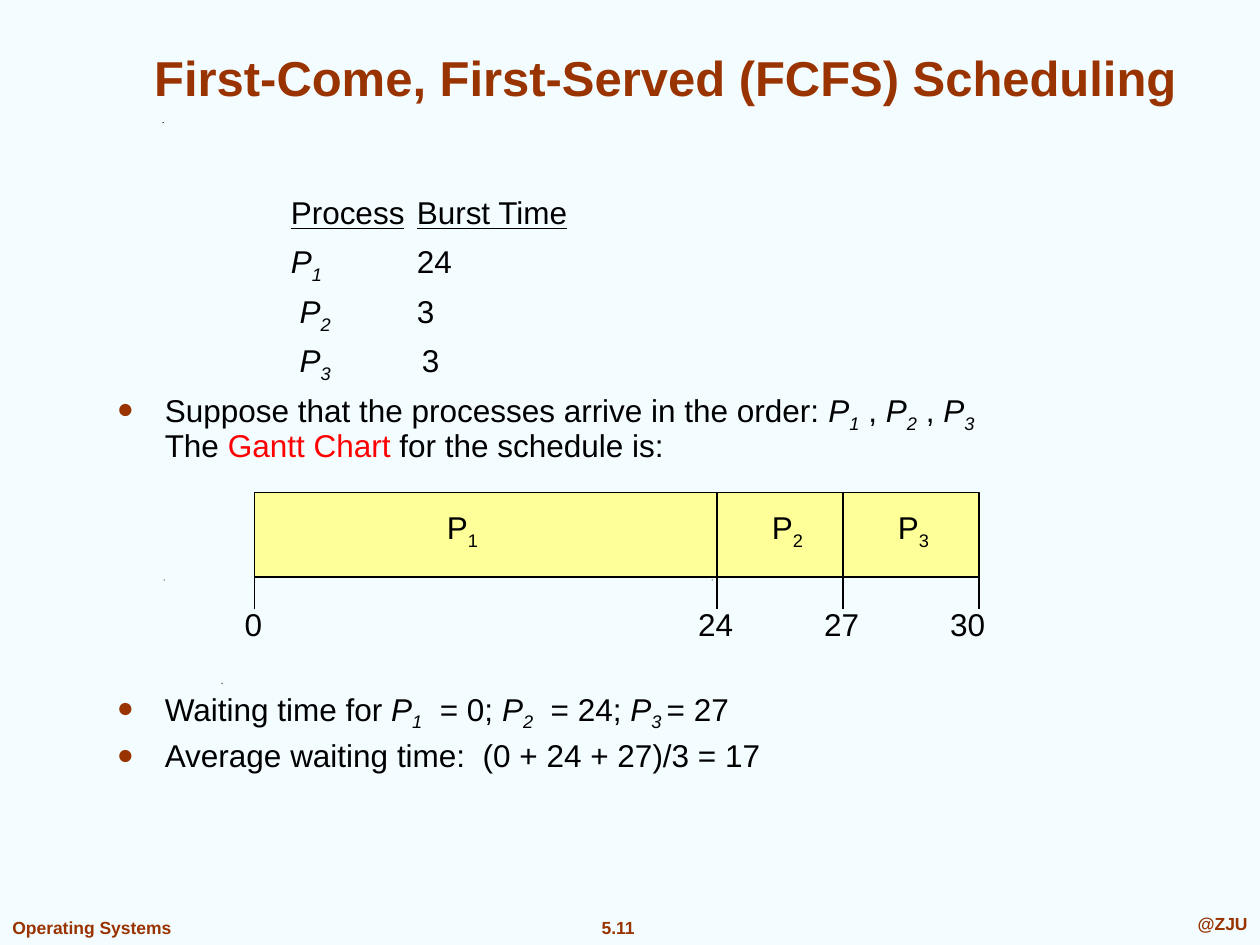
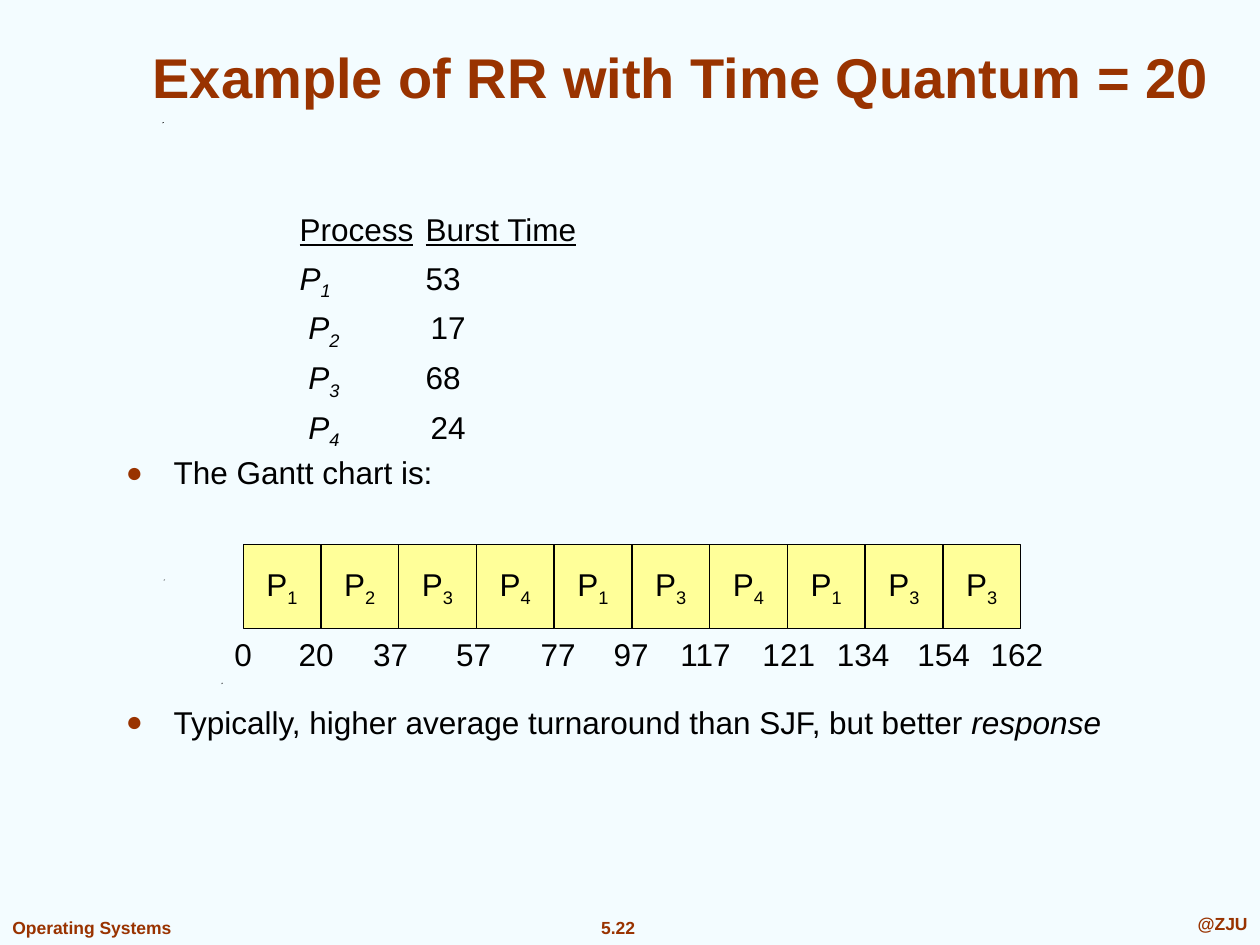
from dataclasses import dataclass

from lxml.etree import SubElement
from pptx import Presentation
from pptx.dml.color import RGBColor
from pptx.enum.shapes import MSO_CONNECTOR, MSO_SHAPE
from pptx.enum.text import MSO_ANCHOR, PP_ALIGN
from pptx.oxml.ns import qn
from pptx.util import Inches, Pt


@dataclass(frozen=True)
class Theme:
    font: str = "Arial"
    paper: RGBColor = RGBColor(0xF3, 0xFC, 0xFF)
    accent: RGBColor = RGBColor(0x99, 0x33, 0x00)
    ink: RGBColor = RGBColor(0x00, 0x00, 0x00)
    key: RGBColor = RGBColor(0xFF, 0x00, 0x00)
    bar: RGBColor = RGBColor(0xFF, 0xFF, 0x99)
    body_size: int = 18
    footer_size: int = 10
    line_width: float = 0.75
    line_spacing: float = 0.9
    para_gap: float = 6.3


THEME = Theme()
ITALIC = {"italic": True}
UNDERLINE = {"underline": True}
KEY = {"color": THEME.key}
SUB = {"baseline": "-25000"}
HANGING = 0.38
TABLE_INDENT = 1.38
COLUMN_WIDTH = 1
BAR_HEIGHT = 0.67
LABEL_HEIGHT = 0.4
LABEL_PADDING = 0.2
DIGIT_WIDTH = 0.15
SPECKS = [(1.29, 0.97), (1.3, 4.6), (1.76, 5.42)]


def process(number, style=ITALIC):
    return [("P", style), (str(number), {**style, **SUB})]


class SlideBuilder:
    def __init__(self, deck, theme):
        self.deck = deck
        self.theme = theme
        self.page = None

    def start(self, title, title_box, title_size, number, specks=SPECKS):
        self.page = self.deck.slides.add_slide(self.deck.slide_layouts[6])
        fill = self.page.background.fill
        fill.solid()
        fill.fore_color.rgb = self.theme.paper
        for left, top in specks:
            self.speck(left, top)
        heading = {"bold": True, "color": self.theme.accent}
        small = {**heading, "size": self.theme.footer_size}
        footers = [
            (number, (4.66, 7.23, 0.49, 0.27), PP_ALIGN.CENTER),
            ("@ZJU", (7.1, 7.2, 2.9, 0.27), PP_ALIGN.RIGHT),
            ("Operating Systems", (0, 7.23, 1.47, 0.27), PP_ALIGN.LEFT),
        ]
        for text, place, align in footers:
            self.text([(text, small)], place, align, MSO_ANCHOR.TOP)
        self.text([(title, {**heading, "size": title_size})], title_box,
                  anchor=MSO_ANCHOR.BOTTOM, wrap=True)

    def speck(self, left, top):
        size = 0.01
        builder = self.page.shapes.build_freeform(Inches(left), Inches(top + size))
        builder.add_line_segments([(Inches(left + size), Inches(top)),
                                   (Inches(left), Inches(top))])
        shape = builder.convert_to_shape()
        shape.shadow.inherit = False
        shape.fill.solid()
        shape.fill.fore_color.rgb = self.theme.ink
        shape.line.fill.background()

    def spans(self, para, parts):
        for text, style in parts:
            span = para.add_run()
            span.text = text
            formats = {"name": self.theme.font, "size": self.theme.body_size,
                       "color": self.theme.ink, **style}
            span.font.color.rgb = formats.pop("color")
            formats["size"] = Pt(formats["size"])
            baseline = formats.pop("baseline", None)
            if baseline:
                span.font._element.set("baseline", baseline)
            for name, value in formats.items():
                setattr(span.font, name, value)

    def text(self, parts, place, align=PP_ALIGN.CENTER, anchor=MSO_ANCHOR.MIDDLE, wrap=False):
        box = self.page.shapes.add_textbox(*map(Inches, place))
        box.text_frame.word_wrap = wrap
        box.text_frame.vertical_anchor = anchor
        para = box.text_frame.paragraphs[0]
        para.alignment = align
        self.spans(para, parts)

    def label(self, parts, center, top):
        width = LABEL_PADDING + DIGIT_WIDTH * sum(len(text) for text, style in parts)
        self.text(parts, (center - width / 2, top, width, LABEL_HEIGHT))

    def body(self, place, rows, bullets):
        frame = self.page.shapes.add_textbox(*map(Inches, place)).text_frame
        frame.word_wrap = True
        header = [("Process", UNDERLINE), ("\t", {}), ("Burst Time", UNDERLINE)]
        lines = [(header, False, self.theme.para_gap)]
        for number, burst in enumerate(rows, 1):
            lead = [(" ", {})] if number > 1 else []
            space = burst[:burst.startswith(" ")]
            cells = [("\t" + space, SUB), (burst.strip(), {})]
            lines.append((lead + process(number) + cells, False, self.theme.para_gap))
        lines += [(parts, True, gap or self.theme.para_gap) for parts, gap in bullets]
        for index, (parts, bulleted, gap) in enumerate(lines):
            para = frame.add_paragraph() if index else frame.paragraphs[0]
            para.line_spacing = self.theme.line_spacing
            para.space_before = Pt(gap)
            self.indent(para, bulleted)
            for position, line in enumerate(parts if isinstance(parts[0], list) else [parts]):
                if position:
                    para.add_line_break()
                self.spans(para, line)

    def indent(self, para, bulleted):
        props = para._p.get_or_add_pPr()
        props.set("marL", str(Inches(HANGING if bulleted else TABLE_INDENT)))
        props.set("indent", str(Inches(-HANGING if bulleted else 0)))
        props.set("defTabSz", str(Inches(COLUMN_WIDTH)))
        if bulleted:
            color = SubElement(props, qn("a:buClr"))
            SubElement(color, qn("a:srgbClr"), val=str(self.theme.accent))
            SubElement(props, qn("a:buSzPct"), val="90000")
            SubElement(props, qn("a:buFont"), typeface=self.theme.font)
            SubElement(props, qn("a:buChar"), char="●")

    def bar(self, left, top, width, parts=()):
        shape = self.page.shapes.add_shape(
            MSO_SHAPE.RECTANGLE, *map(Inches, (left, top, width, BAR_HEIGHT)))
        shape.shadow.inherit = False
        shape.fill.solid()
        shape.fill.fore_color.rgb = self.theme.bar
        self.outline(shape.line)
        shape.text_frame.word_wrap = False
        shape.text_frame.vertical_anchor = MSO_ANCHOR.MIDDLE
        para = shape.text_frame.paragraphs[0]
        para.alignment = PP_ALIGN.CENTER
        self.spans(para, parts)

    def outline(self, line):
        line.color.rgb = self.theme.ink
        line.width = Pt(self.theme.line_width)

    def upright(self, x, top, bottom):
        connector = self.page.shapes.add_connector(
            MSO_CONNECTOR.STRAIGHT, *map(Inches, (x, top, x, bottom)))
        self.outline(connector.line)
        SubElement(connector._element.spPr, qn("a:effectLst"))


def build_fcfs(builder):
    builder.start("First-Come, First-Served (FCFS) Scheduling",
                  (0.72, 0.39, 9.12, 0.5), 28, "5.11", SPECKS + [(5.65, 4.6)])
    order = [("Suppose that the processes arrive in the order: ", {}),
             *process(1), (" , ", {}), *process(2), (" , ", {}), *process(3)]
    schedule = [("The ", {}), ("Gantt Chart", KEY), (" for the schedule is:", {})]
    waiting = [("Waiting time for ", {}), *process(1), ("  = 0; ", {}),
               *process(2), ("  = 24; ", {}), *process(3), (" ", {**ITALIC, **SUB}),
               ("= 27", {})]
    average = [("Average waiting time:  (0 + 24 + 27)/3 = 17", {})]
    builder.body((0.83, 1.52, 8.27, 4.5), ["24", "3", " 3"],
                 [([order, schedule], None), (waiting, 129), (average, None)])

    top = 3.91
    bottom = top + BAR_HEIGHT
    edges = [2.02, 5.69, 6.69, 7.77]
    builder.bar(edges[0], top, edges[-1] - edges[0])
    for number, center in enumerate([3.67, 6.25, 7.25], 1):
        builder.label(process(number, {}), center, 4)
    for x in edges[1:-1]:
        builder.upright(x, top, bottom)
    for x in edges:
        builder.upright(x, bottom, bottom + 0.25)
    for time, center in zip([0, 24, 27, 30], [2.01, 5.68, 6.68, 7.68]):
        builder.label([(str(time), {})], center, 4.75)


def build_round_robin(builder):
    builder.start("Example of RR with Time Quantum = 20", (1, 0, 8.81, 0.92), 32, "5.22")
    builder.body((0.9, 1.65, 8.04, 4.9), ["53", " 17", "68", " 24"], [
        ([("The Gantt chart is:", {})], None),
        ([("Typically, higher average turnaround than SJF, but better ", {}),
          ("response", ITALIC)], 123),
    ])

    processes = [1, 2, 3, 4, 1, 3, 4, 1, 3, 3]
    left, top, width = 1.93, 4.32, 6.17
    step = width / len(processes)
    for index, number in enumerate(processes):
        builder.bar(left + index * step, top, step, process(number, {}))
    times = [0, 20, 37, 57, 77, 97, 117, 121, 134, 154, 162]
    centers = [1.93, 2.51, 3.1, 3.76, 4.43, 5.01, 5.6, 6.26, 6.85, 7.49, 8.07]
    for time, center in zip(times, centers):
        builder.label([(str(time), {})], center, top + BAR_HEIGHT)


def main():
    deck = Presentation()
    deck.slide_width = Inches(10)
    deck.slide_height = Inches(7.5)
    builder = SlideBuilder(deck, THEME)
    build_fcfs(builder)
    build_round_robin(builder)
    deck.save("out.pptx")


if __name__ == "__main__":
    main()
